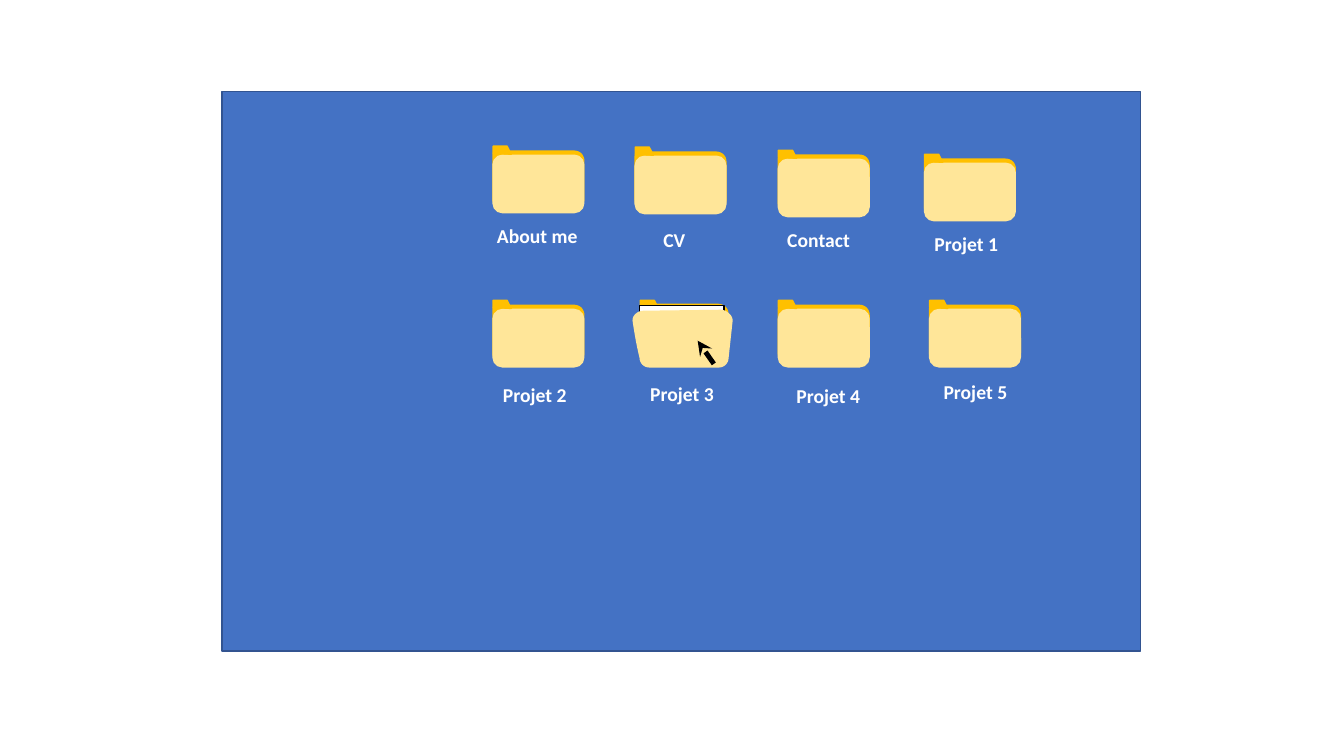
"""Build a desktop slide with labelled folders, one of them open under the pointer."""
from lxml.etree import SubElement
from pptx import Presentation
from pptx.dml.color import RGBColor
from pptx.enum.shapes import MSO_CONNECTOR, MSO_SHAPE
from pptx.enum.text import MSO_AUTO_SIZE
from pptx.oxml.ns import qn
from pptx.util import Inches, Pt

BLUE = RGBColor(0x44, 0x72, 0xC4)
NAVY = RGBColor(0x32, 0x54, 0x91)
AMBER = RGBColor(0xFF, 0xC0, 0x00)
CREAM = RGBColor(0xFF, 0xE6, 0x99)
WHITE = RGBColor(0xFF, 0xFF, 0xFF)
BLACK = RGBColor(0x00, 0x00, 0x00)

CURVE_STEPS = 8
FOLDER_WIDTH, FOLDER_HEIGHT = 0.9, 0.57
CLOSED_FOLDERS = [
    ("About me", (4.89, 1.45), (4.83, 2.17, 1.01)),
    ("CV", (6.3, 1.46), (6.48, 2.21, 0.42)),
    ("Contact", (7.72, 1.49), (7.71, 2.21, 0.83)),
    ("Projet 1", (9.17, 1.53), (9.17, 2.25, 0.84)),
    ("Projet 2", (4.89, 2.98), (4.89, 3.75, 0.84)),
    ("Projet 4", (7.72, 2.98), (7.8, 3.76, 0.84)),
    ("Projet 5", (9.22, 2.98), (9.26, 3.72, 0.84)),
]
OPEN_FRONT = [
    (6.28, 3.18), (6.28, 3.13, 6.33, 3.09, 6.38, 3.09),
    (7.15, 3.08), (7.2, 3.08, 7.26, 3.13, 7.26, 3.18),
    (7.22, 3.55), (7.22, 3.6, 7.18, 3.64, 7.13, 3.64),
    (6.44, 3.64), (6.39, 3.64, 6.35, 3.6, 6.35, 3.55),
    (6.32, 3.43, 6.3, 3.31, 6.28, 3.18),
]


def paint(shape, fill, line):
    shape.shadow.inherit = False
    shape.fill.solid()
    shape.fill.fore_color.rgb = fill
    shape.line.color.rgb = line
    shape.line.width = Pt(1)
    return shape


def add_preset(page, kind, left, top, width, height, fill, line):
    shape = page.shapes.add_shape(
        kind, Inches(left), Inches(top), Inches(width), Inches(height))
    return paint(shape, fill, line)


def flatten(outline):
    """Turn corner points and six-number Bézier steps into plain points."""
    points = [outline[0]]
    for step in outline[1:]:
        if len(step) == 2:
            points.append(step)
            continue
        controls = [points[-1], step[:2], step[2:4], step[4:]]
        for index in range(1, CURVE_STEPS + 1):
            t = index / CURVE_STEPS
            weights = [(1 - t) ** 3, 3 * t * (1 - t) ** 2, 3 * t * t * (1 - t), t ** 3]
            points.append(tuple(
                sum(weight * control[axis] for weight, control in zip(weights, controls))
                for axis in (0, 1)))
    return points


def add_outline(page, outline, color):
    start, *rest = [(Inches(x), Inches(y)) for x, y in flatten(outline)]
    builder = page.shapes.build_freeform(*start)
    builder.add_line_segments(rest, close=True)
    return paint(builder.convert_to_shape(), color, color)


def add_back(page, left, top, width, height):
    right, bottom = left + width, top + height
    return add_outline(page, [
        (left, top + 0.04),
        (left, top - 0.01, left + 0.04, top, left + 0.1, top),
        (right - 0.1, top), (right - 0.04, top, right, top + 0.04, right, top + 0.1),
        (right, bottom - 0.1),
        (right, bottom - 0.04, right - 0.04, bottom, right - 0.1, bottom),
        (left + 0.1, bottom),
        (left + 0.04, bottom, left, bottom - 0.04, left, bottom - 0.1),
    ], AMBER)


def add_tab(page, left, top):
    return add_outline(page, [
        (left, top), (left + 0.14, top), (left + 0.18, top + 0.08),
        (left, top + 0.07)], AMBER)


def add_closed_folder(page, left, top):
    page.shapes.add_group_shape([
        add_back(page, left, top + 0.05, FOLDER_WIDTH, FOLDER_HEIGHT),
        add_preset(page, MSO_SHAPE.ROUNDED_RECTANGLE, left, top + 0.09,
                   FOLDER_WIDTH, FOLDER_HEIGHT, CREAM, CREAM),
        add_tab(page, left, top),
    ])


def add_open_folder(page):
    page.shapes.add_group_shape([
        add_back(page, 6.35, 3.02, 0.87, 0.55),
        add_tab(page, 6.35, 2.98),
        add_preset(page, MSO_SHAPE.RECTANGLE, 6.34, 3.03, 0.84, 0.19, WHITE, BLACK),
        add_outline(page, OPEN_FRONT, CREAM),
    ])


def add_label(page, text, left, top, width):
    box = page.shapes.add_textbox(
        Inches(left), Inches(top), Inches(width), Inches(0.34))
    frame = box.text_frame
    frame.word_wrap = False
    frame.auto_size = MSO_AUTO_SIZE.SHAPE_TO_FIT_TEXT
    para = frame.paragraphs[0]
    para.text = text
    para.font.name = "Calibri"
    para.font.size = Pt(14)
    para.font.bold = True
    para.font.color.rgb = WHITE


def add_pointer(page):
    pointer = page.shapes.add_connector(
        MSO_CONNECTOR.STRAIGHT,
        Inches(6.92), Inches(3.38), Inches(7.08), Inches(3.61))
    pointer.line.color.rgb = BLACK
    pointer.line.width = Pt(3.5)
    SubElement(pointer.line._get_or_add_ln(), qn("a:headEnd"), type="stealth")
    SubElement(pointer._element.spPr, qn("a:effectLst"))


def main():
    deck = Presentation()
    deck.slide_width, deck.slide_height = Inches(13.33), Inches(7.5)
    page = deck.slides.add_slide(deck.slide_layouts[6])
    add_preset(page, MSO_SHAPE.RECTANGLE, 2.2, 0.91, 9.11, 5.55, BLUE, NAVY)
    for name, corner, label_place in CLOSED_FOLDERS:
        add_closed_folder(page, *corner)
        add_label(page, name, *label_place)
    add_open_folder(page)
    add_label(page, "Projet 3", 6.35, 3.74, 0.84)
    add_pointer(page)
    deck.save("out.pptx")


if __name__ == "__main__":
    main()
